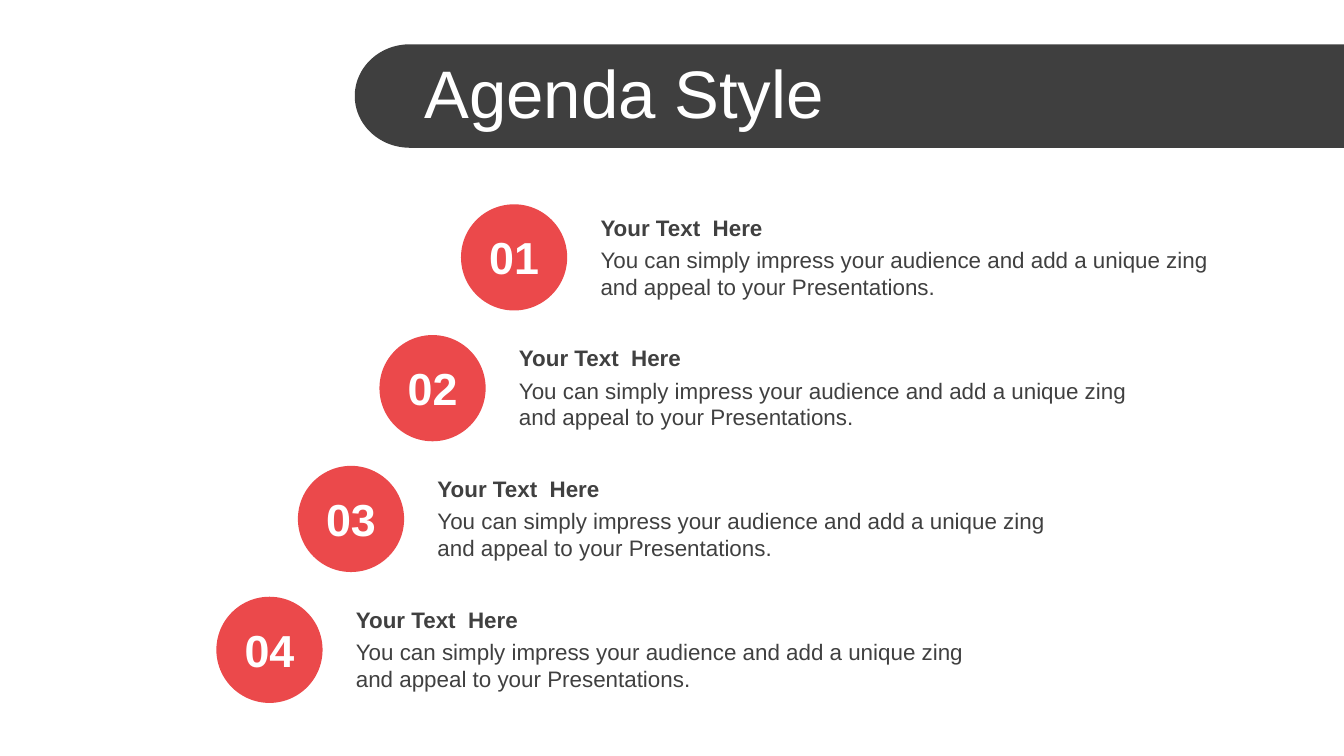
import math

from pptx import Presentation
from pptx.dml.color import RGBColor
from pptx.enum import shapes, text
from pptx.util import Inches, Pt

COLORS = {"bar": "3F3F3F", "dot": "EB494B", "body": "404040", "white": "FFFFFF"}
FONT = "Arial"
HEAD = "Your Text  Here"
BODY = ("You can simply impress your audience and add a unique zing "
        "and appeal to your Presentations.")
COUNT = 4
FIRST, LAST = (3.43, 1.52), (1.61, 4.44)
DOT = 0.79


def paint(shape, color):
    shape.shadow.inherit = False
    shape.fill.solid()
    shape.fill.fore_color.rgb = RGBColor.from_string(COLORS[color])
    shape.line.fill.background()


def add_text(slide, box, words, size, color, bold=False,
             align=text.PP_ALIGN.LEFT):
    frame = slide.shapes.add_textbox(*map(Inches, box)).text_frame
    frame.word_wrap = True
    frame.vertical_anchor = text.MSO_ANCHOR.MIDDLE
    frame.text = words
    par = frame.paragraphs[0]
    par.alignment = align
    font = par.runs[0].font
    font.name, font.size, font.bold = FONT, Pt(size), bold
    font.color.rgb = RGBColor.from_string(COLORS[color])


def add_title(slide, left, top, width, height):
    """Draw a bar with a round left end, and the title on it."""
    cap, half = 0.41, height / 2
    steps = 60
    turns = [math.pi * (0.5 + i / steps) for i in range(steps + 1)]
    curve = [(left + cap + cap * math.cos(t), top + half - half * math.sin(t))
             for t in turns]
    right, base = left + width, top + height
    points = [(Inches(x), Inches(y)) for x, y in curve + [(right, base)]]
    pen = slide.shapes.build_freeform(Inches(right), Inches(top))
    pen.add_line_segments(points, close=True)
    paint(pen.convert_to_shape(), "bar")
    add_text(slide, (left + 0.42, top + 0.04, width - 0.42, 0.63),
             "Agenda Style", 36, "white")


def add_item(slide, left, top, number):
    """Draw one numbered dot with its heading and text to the right."""
    dot = slide.shapes.add_shape(shapes.MSO_SHAPE.OVAL,
                                 *map(Inches, (left, top, DOT, DOT)))
    paint(dot, "dot")
    add_text(slide, (left, top + 0.14, DOT, 0.5), f"{number:02}", 24, "white",
             bold=True, align=text.PP_ALIGN.CENTER)
    side = left + 0.94
    add_text(slide, (side, top + 0.26, 5.04, 0.5), BODY, 12, "body")
    add_text(slide, (side, top + 0.02, 5.04, 0.3), HEAD, 12, "body", bold=True)


def main():
    deck = Presentation()
    deck.slide_width = Inches(10)
    deck.slide_height = deck.slide_width * 9 // 16
    slide = deck.slides.add_slide(deck.slide_layouts[6])
    add_title(slide, 2.64, 0.33, 7.36, 0.77)
    for i in range(COUNT):
        left, top = (a + (b - a) * i / (COUNT - 1)
                     for a, b in zip(FIRST, LAST))
        add_item(slide, left, top, i + 1)
    deck.save("out.pptx")


if __name__ == "__main__":
    main()
